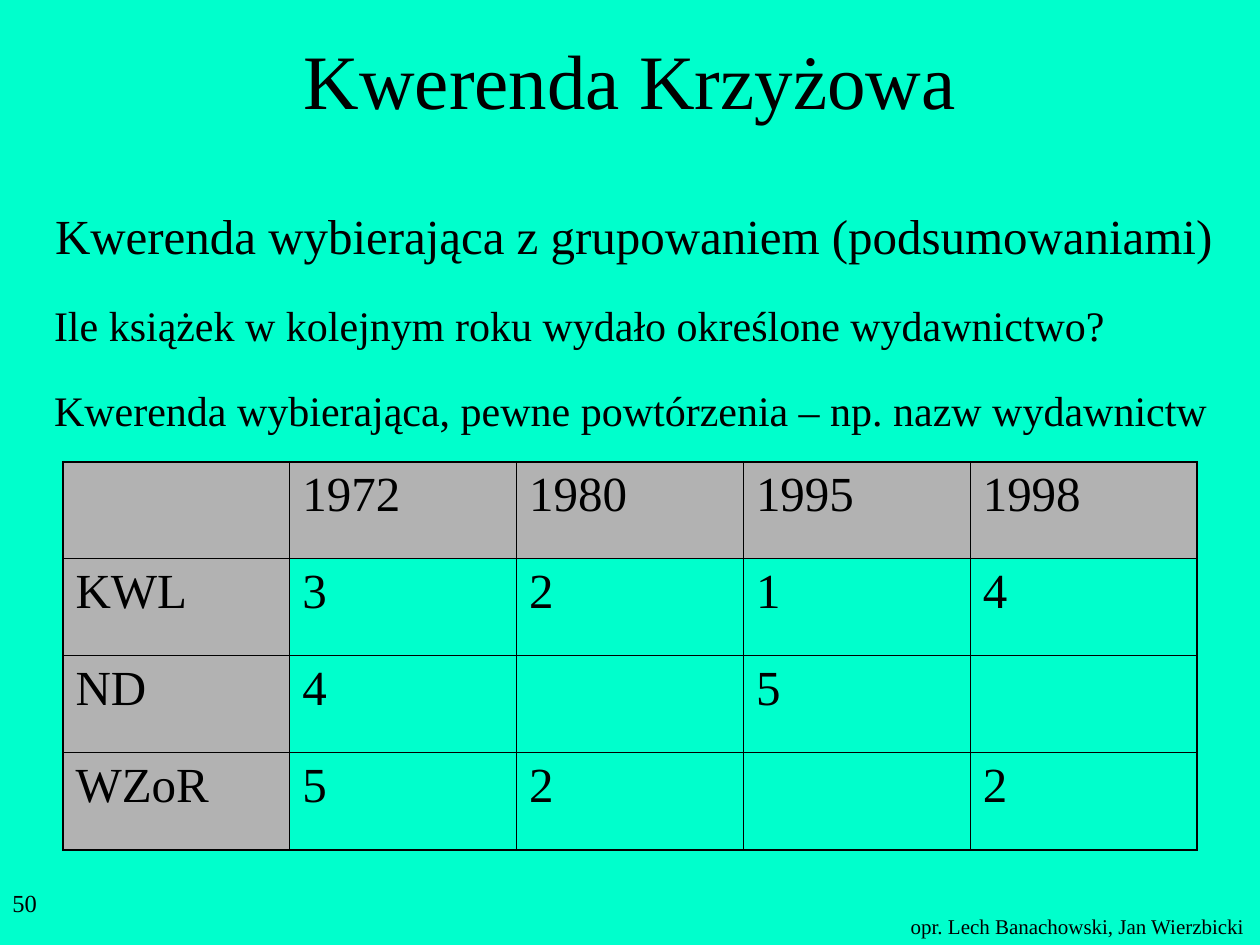
from lxml.etree import SubElement
from pptx import Presentation
from pptx.dml.color import RGBColor
from pptx.enum.text import MSO_ANCHOR, PP_ALIGN
from pptx.oxml.ns import qn
from pptx.util import Cm, Pt

BLACK, MINT, GREY = "000000", "00FFCC", "B2B2B2"
THIN, THICK = Pt(0.45), Pt(1.08)


def color(value):
    return RGBColor.from_string(value)


def set_font(paragraph, size):
    paragraph.font.name = "Times New Roman"
    paragraph.font.size = Pt(size)
    paragraph.font.color.rgb = color(BLACK)


# Page
deck = Presentation()
deck.slide_width, deck.slide_height = Cm(25.4), Cm(19.05)
page = deck.slides.add_slide(deck.slide_layouts[5])
page.background.fill.solid()
page.background.fill.fore_color.rgb = color(MINT)

# Title
title = page.shapes.title
title.left, title.top, title.width, title.height = Cm(1.9), Cm(0), Cm(21.6), Cm(3.18)
title.text_frame.text = "Kwerenda Krzyżowa"
title.text_frame.vertical_anchor = MSO_ANCHOR.MIDDLE
title.text_frame.paragraphs[0].alignment = PP_ALIGN.CENTER
set_font(title.text_frame.paragraphs[0], 44)

# Text lines, page number and footer
lines = [
    ("Kwerenda wybierająca z grupowaniem (podsumowaniami)", 28, 0.86, 4.01, 24.2, 1.45),
    ("Ile książek w kolejnym roku wydało określone wydawnictwo?", 24, 0.84, 5.92, 21.69, 1.27),
    ("Kwerenda wybierająca, pewne powtórzenia – np. nazw wydawnictw", 24, 0.84, 7.62, 23.93, 1.27),
    ("50", 14, 0, 17.78, 5.28, 1.27),
    ("opr. Lech Banachowski, Jan Wierzbicki", 12, 18.11, 18.29, 7.26, 0.76),
]
for text, size, left, top, width, height in lines:
    box = page.shapes.add_textbox(Cm(left), Cm(top), Cm(width), Cm(height))
    box.text_frame.word_wrap = True
    box.text_frame.text = text
    set_font(box.text_frame.paragraphs[0], size)

# Crosstab: publishers by year
rows = [
    ["", "1972", "1980", "1995", "1998"],
    ["KWL", "3", "2", "1", "4"],
    ["ND", "4", "", "5", ""],
    ["WZoR", "5", "2", "", "2"],
]
last_row, last_column = len(rows) - 1, len(rows[0]) - 1
table = page.shapes.add_table(
    len(rows), len(rows[0]), Cm(1.27), Cm(9.31), Cm(22.86), Cm(7.82)
).table
for r, row in enumerate(rows):
    for c, text in enumerate(row):
        cell = table.cell(r, c)
        cell.text = text
        set_font(cell.text_frame.paragraphs[0], 28)

        # Thick outer border, thin inner lines
        outer_edges = {"lnL": c == 0, "lnR": c == last_column,
                       "lnT": r == 0, "lnB": r == last_row}
        properties = cell._tc.get_or_add_tcPr()
        for edge, is_outer in outer_edges.items():
            line = SubElement(properties, qn(f"a:{edge}"), w=str(THICK if is_outer else THIN))
            SubElement(SubElement(line, qn("a:solidFill")), qn("a:srgbClr"), val=BLACK)

        # Grey headings, clear values
        if r == 0 or c == 0:
            cell.fill.solid()
            cell.fill.fore_color.rgb = color(GREY)
        else:
            cell.fill.background()

deck.save("out.pptx")
